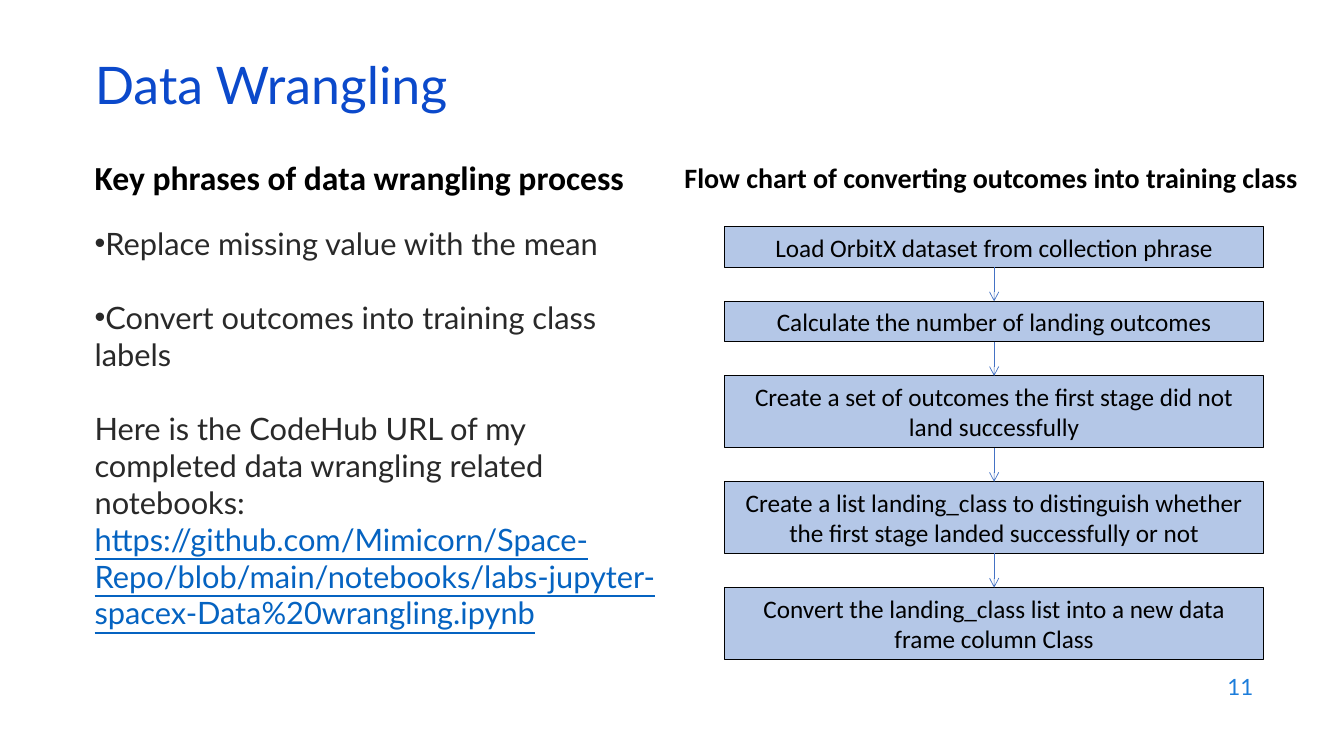
from lxml.etree import SubElement
from pptx import Presentation
from pptx.dml.color import RGBColor
from pptx.enum.shapes import MSO_CONNECTOR as Line, MSO_SHAPE as Preset
from pptx.enum.text import MSO_ANCHOR as Anchor, PP_ALIGN as Align
from pptx.oxml.ns import qn
from pptx.util import Inches, Pt


def color(hex_string):
    return RGBColor.from_string(hex_string)


def write(frame, text, size, font="Calibri", ink="000000", bold=None, underline=None,
          align=None, anchor=Anchor.TOP, bullet=False, before=None, spacing=None, join=False):
    """Add text as a new paragraph, or to the last paragraph if join is set."""
    frame.word_wrap = True
    frame.vertical_anchor = anchor
    paragraph = frame.paragraphs[-1]
    if paragraph.runs and not join:
        paragraph = frame.add_paragraph()
    if bullet:
        properties = paragraph._p.get_or_add_pPr()
        properties.set("marL", "0")
        properties.set("indent", "0")
        SubElement(properties, qn("a:buFont")).set("typeface", "Arial")
        SubElement(properties, qn("a:buChar")).set("char", "•")
    if not join:
        paragraph.alignment = align
        paragraph.space_before = before
        paragraph.line_spacing = spacing
    run = paragraph.add_run()
    run.text = text
    run.font.size = Pt(size)
    run.font.name = font
    run.font.bold = bold
    run.font.underline = underline
    run.font.color.rgb = color(ink)


deck = Presentation()
deck.slide_width, deck.slide_height = Inches(13.33), Inches(7.5)
slide = deck.slides.add_slide(deck.slide_layouts[5])
shapes = slide.shapes

# Two columns of equal pitch under the title
left, column = 0.84, 5.85
right = left + column
heading_top, heading_height = 1.51, 0.5

title = shapes.title
title.left, title.top = Inches(left), Inches(0.59)
title.width, title.height = Inches(11.5), Inches(0.6)
write(title.text_frame, "Data Wrangling", 37, "Lato", "0B49CB",
      align=Align.LEFT, anchor=Anchor.MIDDLE, spacing=0.8)

headings = [
    (left, column, "Key phrases of data wrangling process", 24),
    (right, 6.49, "Flow chart of converting outcomes into training class", 20),
]
for x, width, text, size in headings:
    heading = shapes.add_textbox(Inches(x), Inches(heading_top), Inches(width), Inches(heading_height))
    write(heading.text_frame, text, size, bold=True,
          anchor=Anchor.MIDDLE if x == right else Anchor.TOP)

# Key phrases, one line apart
phrases = shapes.add_textbox(Inches(left), Inches(2.18), Inches(column), Inches(4.58)).text_frame
body = dict(size=22, font="Lato")
line_gap = Pt(26.4)
write(phrases, "Replace missing value with the mean", ink="292929", bullet=True, **body)
write(phrases, "Convert outcomes into training class labels", ink="292929",
      bullet=True, before=line_gap, **body)
write(phrases, "Here is the CodeHub URL of my completed data wrangling related notebooks: ",
      ink="292929", before=line_gap, **body)
write(phrases, "https://github.com/Mimicorn/Space-Repo/blob/main/notebooks/"
      "labs-jupyter-spacex-Data%20wrangling.ipynb",
      ink="0563C1", underline=True, join=True, **body)

# Flow chart: steps of one or two lines, joined by arrows
one_line, two_lines, step_gap = 0.4, 0.71, 0.34
steps = [
    ("Load OrbitX dataset from collection phrase", one_line),
    ("Calculate the number of landing outcomes", one_line),
    ("Create a set of outcomes the first stage did not land successfully", two_lines),
    ("Create a list landing_class to distinguish whether the first stage landed "
     "successfully or not", two_lines),
    ("Convert the landing_class list into a new data frame column Class", two_lines),
]
step_top = 2.25
previous = None
for text, height in steps:
    step = shapes.add_shape(Preset.RECTANGLE, Inches(right + 0.5), Inches(step_top),
                            Inches(5.34), Inches(height))
    step.shadow.inherit = False
    step.fill.solid()
    step.fill.fore_color.rgb = color("B4C7E7")
    step.line.color.rgb = color("000000")
    step.line.width = Pt(0.75)
    write(step.text_frame, text, 18, align=Align.CENTER, anchor=Anchor.MIDDLE)
    if previous:
        arrow = shapes.add_connector(Line.STRAIGHT, 0, 0, 0, 0)
        arrow.begin_connect(previous, 2)
        arrow.end_connect(step, 0)
        arrow.line.color.rgb = color("4472C4")
        arrow.line.width = Pt(0.5)
        SubElement(arrow.line._get_or_add_ln(), qn("a:tailEnd")).set("type", "arrow")
        SubElement(arrow._element.spPr, qn("a:effectLst"))
    previous = step
    step_top += height + step_gap

page = shapes.add_textbox(Inches(9.53), Inches(6.59), Inches(3), Inches(0.44))
write(page.text_frame, "11", 16, "Lato", "1C7DDB", align=Align.RIGHT, anchor=Anchor.MIDDLE)

deck.save("out.pptx")
